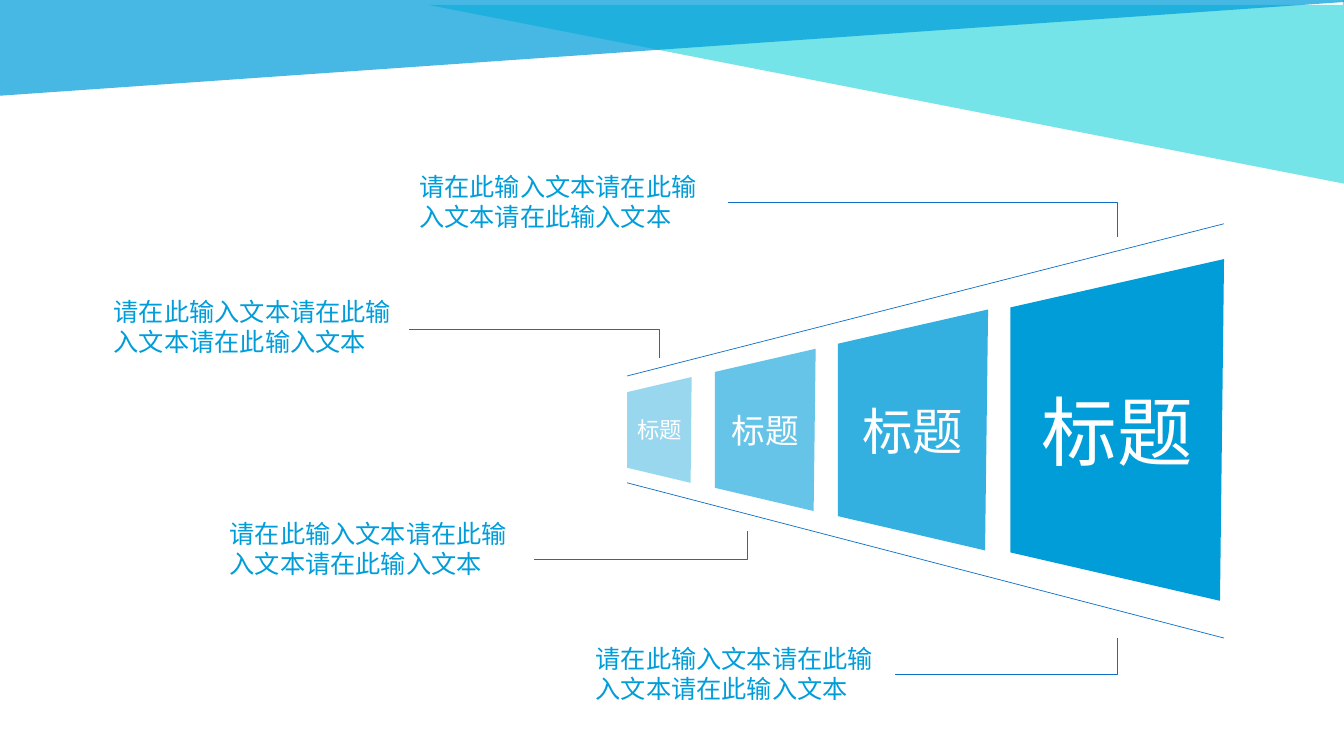
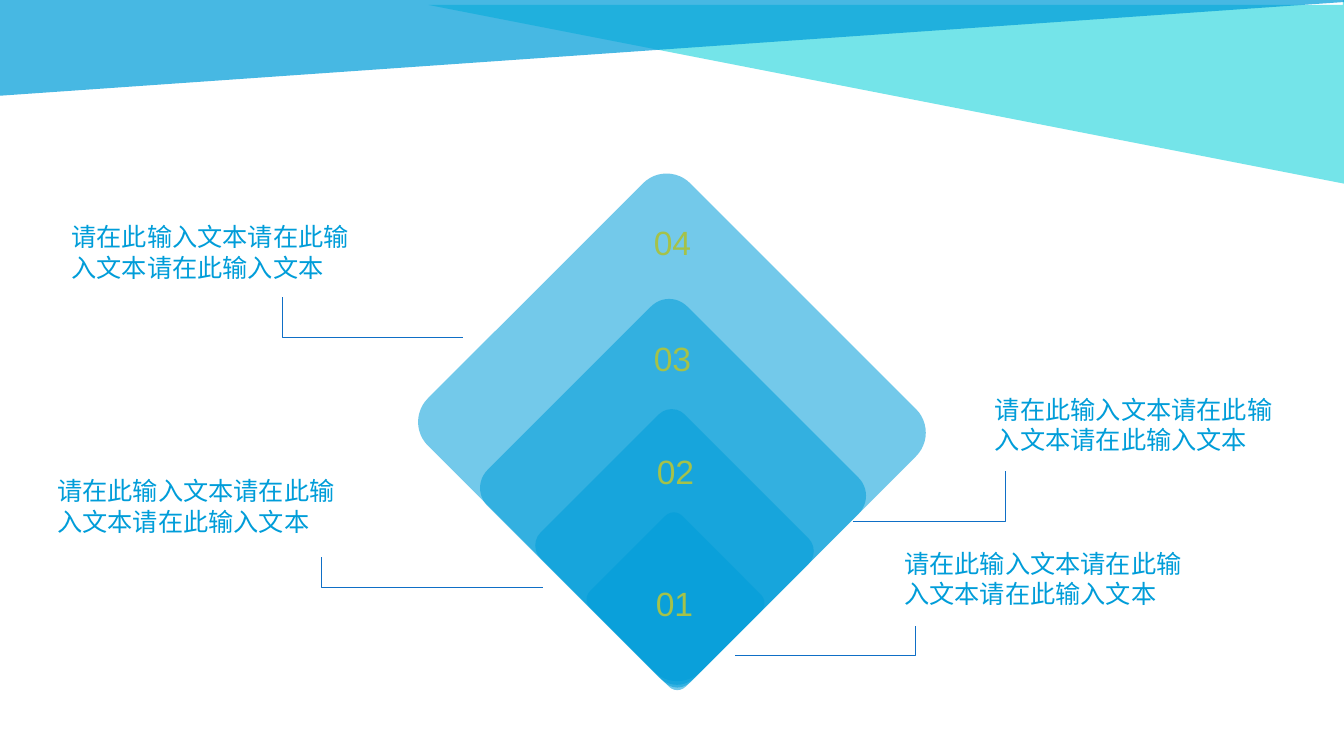
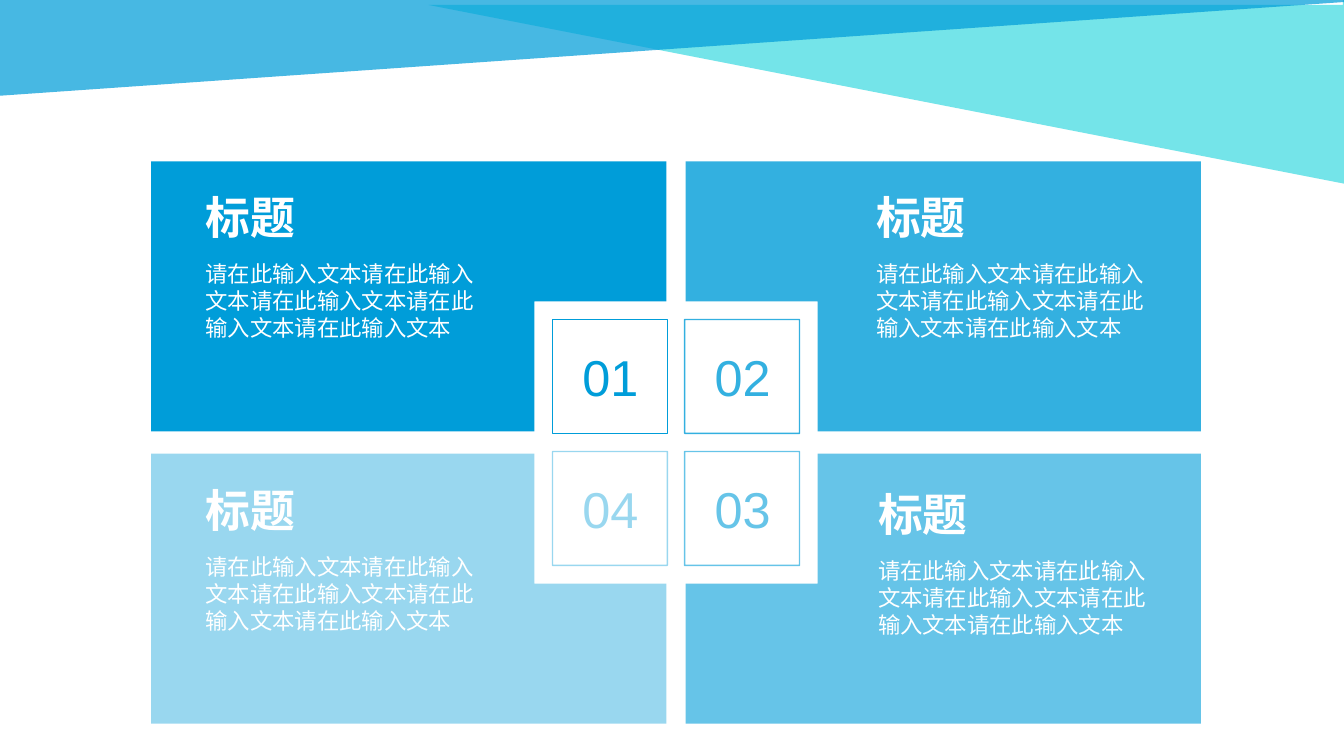
"""Build three diagram slides that share one banded blank layout."""
from lxml import etree
from pptx import Presentation
from pptx import util as u
from pptx.dml.color import RGBColor
from pptx.enum import lang, shapes, text
from pptx.oxml.ns import qn

PX = 9144
BLUE = RGBColor(0x00, 0x9D, 0xD9)
LINE_BLUE = RGBColor(0x0F, 0x6F, 0xC6)
TEAL = RGBColor(0x0B, 0xD0, 0xD9)
GREEN = RGBColor(0xA5, 0xC2, 0x49)
WHITE = RGBColor(0xFF, 0xFF, 0xFF)
LEFT, CENTER = text.PP_ALIGN.LEFT, text.PP_ALIGN.CENTER
HEADING = "标题"
SENTENCE = "请在此输入文本"
translucent = []


def polygon(slide, points, colour, opacity):
    builder = slide.shapes.build_freeform(*points[0], scale=PX)
    builder.add_line_segments(points[1:], close=True)
    shape = builder.convert_to_shape()
    shape.shadow.inherit = False
    shape.fill.solid()
    shape.fill.fore_color.rgb = colour
    shape.line.fill.background()
    translucent.append((shape.element.spPr, opacity))
    return shape


def write(shape, words, colour, align, size, bold=False):
    shape.text_frame.word_wrap = True
    paragraph = shape.text_frame.paragraphs[0]
    paragraph.alignment = align
    run = paragraph.add_run()
    run.text = words
    style = {"name": "Arial", "size": u.Pt(size), "bold": bold,
             "language_id": lang.MSO_LANGUAGE_ID.SIMPLIFIED_CHINESE}
    for name, value in style.items():
        setattr(run.font, name, value)
    run.font.color.rgb = colour


presentation = Presentation()
presentation.slide_width = u.Inches(13.33)
presentation.slide_height = u.Inches(7.5)
layout = presentation.slide_layouts[6]
for placeholder in list(layout.placeholders):
    layout.shapes.element.remove(placeholder.element)
funnel_slide, diamond_slide, panel_slide = [
    presentation.slides.add_slide(layout) for _ in range(3)]

bands = [
    polygon(funnel_slide, [(1332, 0), (1336, 0), (1337, 183), (425, 5), (1332, 5)], TEAL, 57),
    polygon(funnel_slide, [(0, -1), (1334, -2), (1334, 2), (0, 95)], BLUE, 72),
]
for band in bands:
    layout.shapes.element.append(band.element)

trapezoids = [
    ([(980, 307), (831, 341), (831, 512), (977, 546)], 80, 36),
    ([(809, 346), (709, 369), (709, 484), (807, 507)], 60, 24),
    ([(686, 374), (622, 389), (622, 464), (685, 479)], 40, 16),
    ([(1214, 257), (1002, 305), (1002, 548), (1210, 596)], 100, 54),
]
for points, opacity, size in trapezoids:
    trapezoid = polygon(funnel_slide, points, BLUE, opacity)
    frame = trapezoid.text_frame
    frame.margin_left = frame.margin_right = 0
    frame.vertical_anchor = text.MSO_ANCHOR.MIDDLE
    write(trapezoid, HEADING, WHITE, CENTER, size)

diamonds = [(475, 240, 383, 368), (522, 348, 291, 280),
            (564, 443, 210, 202), (603, 532, 134, 129)]
for box in diamonds:
    diamond = diamond_slide.shapes.add_shape(
        shapes.MSO_SHAPE.ROUNDED_RECTANGLE, *[value * PX for value in box])
    diamond.adjustments[0] = 0.09
    diamond.rotation = 45
    diamond.shadow.inherit = False
    diamond.fill.solid()
    diamond.fill.fore_color.rgb = BLUE
    diamond.line.fill.background()
    translucent.append((diamond.element.spPr, 55))

levels = [("01", 631, 573), ("02", 632, 442), ("03", 629, 330), ("04", 629, 215)]
for number, left, top in levels:
    label = diamond_slide.shapes.add_textbox(left * PX, top * PX, 76 * PX, 51 * PX)
    write(label, number, GREEN, CENTER, 24)

captions = [
    (funnel_slide, 103, 289), (funnel_slide, 218, 509),
    (funnel_slide, 406, 165), (funnel_slide, 581, 633),
    (diamond_slide, 61, 215), (diamond_slide, 47, 467),
    (diamond_slide, 977, 386), (diamond_slide, 887, 539),
]
for slide, left, top in captions:
    caption = slide.shapes.add_textbox(left * PX, top * PX, 302 * PX, 101 * PX)
    write(caption, SENTENCE * 3, BLUE, LEFT, 18)

STRAIGHT, ELBOW = shapes.MSO_CONNECTOR.STRAIGHT, shapes.MSO_CONNECTOR.ELBOW
lines = [
    (funnel_slide, STRAIGHT, (622, 373, 1214, 222), None),
    (funnel_slide, STRAIGHT, (622, 479, 1214, 633), None),
    (funnel_slide, ELBOW, (406, 327, 654, 355), 100000),
    (funnel_slide, ELBOW, (722, 201, 1108, 235), 100000),
    (funnel_slide, ELBOW, (530, 555, 741, 527), 100000),
    (funnel_slide, ELBOW, (888, 669, 1108, 633), 100000),
    (diamond_slide, ELBOW, (280, 295, 459, 335), 0),
    (diamond_slide, ELBOW, (319, 553, 539, 583), 0),
    (diamond_slide, ELBOW, (729, 650, 908, 621), 100000),
    (diamond_slide, ELBOW, (846, 517, 997, 467), 100000),
]
for slide, kind, ends, bend in lines:
    connector = slide.shapes.add_connector(kind, *[value * PX for value in ends])
    connector.line.color.rgb = LINE_BLUE
    connector.line.width = u.Pt(0.5)
    etree.SubElement(connector.element.spPr, qn("a:effectLst"))
    if bend is not None:
        adjustments = connector.element.find(".//" + qn("a:avLst"))
        etree.SubElement(adjustments, qn("a:gd"), name="adj1", fmla=f"val {bend}")

corner = [(150, 160), (661, 160), (661, 299), (530, 299), (530, 428), (150, 428)]
panels = [
    ("01", 0, 0, 100, 194, 183),
    ("02", 1, 0, 80, 859, 183),
    ("03", 1, 1, 60, 861, 478),
    ("04", 0, 1, 40, 194, 474),
]
for number, column, row, opacity, left, top in panels:
    points = [(1341 - x if column else x, 878 - y if row else y) for x, y in corner]
    polygon(panel_slide, points, BLUE, opacity)

    square_left, square_top = 548 + 131 * column, 317 + 131 * row
    square = panel_slide.shapes.add_shape(
        shapes.MSO_SHAPE.RECTANGLE, square_left * PX, square_top * PX, 114 * PX, 113 * PX)
    square.shadow.inherit = False
    square.fill.background()
    square.line.color.rgb = BLUE
    square.line.width = u.Pt(1)
    label = panel_slide.shapes.add_textbox(
        (square_left + 12) * PX, (square_top + 21) * PX, 91 * PX, 71 * PX)
    write(label, number, BLUE, CENTER, 36)
    translucent += [(square.element.spPr, opacity), (label.element, opacity)]

    heading = panel_slide.shapes.add_textbox(left * PX, top * PX, 292 * PX, 64 * PX)
    write(heading, HEADING, WHITE, LEFT, 32, bold=True)
    body = panel_slide.shapes.add_textbox(left * PX, (top + 70) * PX, 292 * PX, 91 * PX)
    write(body, SENTENCE * 5, WHITE, LEFT, 16)

for element, opacity in translucent:
    for colour in element.iter(qn("a:srgbClr")):
        etree.SubElement(colour, qn("a:alpha"), val=str(opacity * 1000))

presentation.save("out.pptx")
